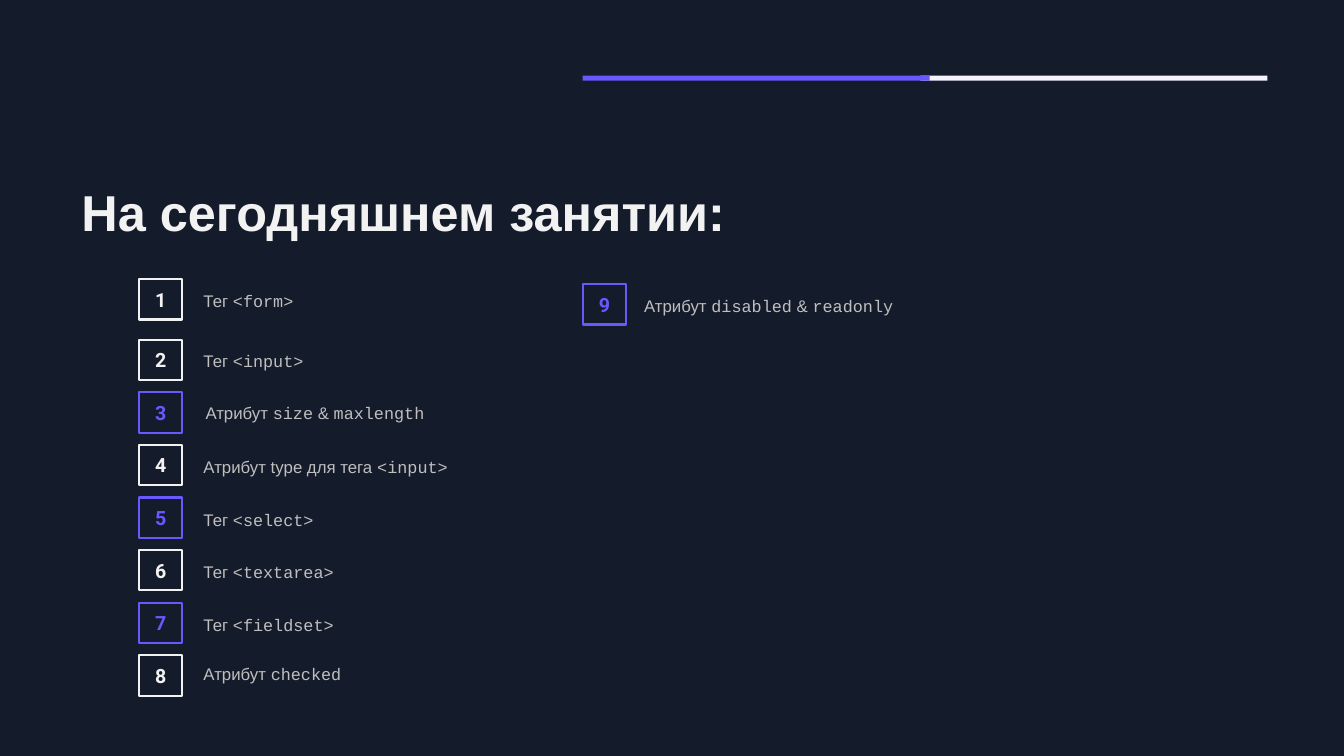
import pptx
import pptx.util
from pptx.dml.color import RGBColor
from pptx.enum.shapes import MSO_SHAPE
from pptx.enum.text import MSO_ANCHOR, PP_ALIGN
from pptx.util import Inches, Pt

NAVY = RGBColor(0x14, 0x1B, 0x2A)
VIOLET = RGBColor(0x67, 0x59, 0xFE)
PALE = RGBColor(0xF4, 0xF3, 0xFF)
WHITE = RGBColor(0xF2, 0xF2, 0xF2)
GREY = RGBColor(0xBF, 0xBF, 0xBF)

TITLE = "На сегодняшнем занятии:"
# Plain words and code take turns; then the label's drop below its box top
TOPICS = [
    (["Тег ", "<form>"], 0.07),
    (["Тег ", "<input>"], 0.06),
    (["Атрибут ", "size", " & ", "maxlength"], 0.05),
    (["Атрибут type для тега ", "<input>"], 0.07),
    (["Тег ", "<select>"], 0.07),
    (["Тег ", "<textarea>"], 0.07),
    (["Тег ", "<fieldset>"], 0.07),
    (["Атрибут ", "checked"], 0.03),
    (["Атрибут ", "disabled", " & ", "readonly"], 0.06),
]
ACCENTS = {3, 5, 7, 9}
BARS = [(9.13, PALE), (5.78, VIOLET)]

HEAD = dict(name="Arial", size=Pt(36), bold=True)
DIGIT = dict(name="Roboto", size=Pt(14), bold=True)
WORDS = dict(name="Arial", size=Pt(12))
CODE = dict(name="Courier New", size=Pt(12))


def add_run(para, text, style, color):
    run = para.add_run()
    run.text = text
    for key, value in style.items():
        setattr(run.font, key, value)
    run.font.color.rgb = color


def add_text(slide, *place):
    """Add a wrapping text box and return its first paragraph."""
    frame = slide.shapes.add_textbox(*map(Inches, place)).text_frame
    frame.word_wrap = True
    return frame.paragraphs[0]


def add_rect(slide, *place):
    rect = slide.shapes.add_shape(MSO_SHAPE.RECTANGLE, *map(Inches, place))
    rect.shadow.inherit = False
    return rect


def add_bar(slide, left, color):
    bar = add_rect(slide, left, 0.75, 3.44, 0.05)
    bar.fill.solid()
    bar.fill.fore_color.rgb = color
    bar.line.fill.background()


def add_box(slide, num, left, top):
    """Draw the outlined square that holds a topic's number."""
    color = VIOLET if num in ACCENTS else WHITE
    box = add_rect(slide, left, top, 0.43, 0.4)
    box.fill.background()
    box.line.color.rgb = color
    box.line.width = Pt(1.5)
    frame = box.text_frame
    frame.vertical_anchor = MSO_ANCHOR.MIDDLE
    for side in ("left", "right", "top", "bottom"):
        setattr(frame, "margin_" + side, Inches(0.1))
    para = frame.paragraphs[0]
    para.alignment = PP_ALIGN.CENTER
    add_run(para, str(num), DIGIT, color)


def spot(num):
    """Give the left and top of a topic's box."""
    if num == 1:
        return 1.38, 2.77
    if num == 9:
        return 5.78, 2.82
    return 1.38, 3.37 + (num - 2) * 0.522


def main():
    deck = pptx.Presentation()
    deck.slide_width, deck.slide_height = Inches(13.33), Inches(7.5)
    slide = deck.slides.add_slide(deck.slide_layouts[6])
    slide.background.fill.solid()
    slide.background.fill.fore_color.rgb = NAVY

    para = add_text(slide, 0.71, 1.82, 8.5, 0.66)
    para.line_spacing = 0.9
    add_run(para, TITLE, HEAD, WHITE)
    for left, color in BARS:
        add_bar(slide, left, color)

    for num, (parts, drop) in enumerate(TOPICS, 1):
        left, top = spot(num)
        add_box(slide, num, left, top)
        gap = {3: 0.56, 9: 0.51}.get(num, 0.54)
        para = add_text(slide, left + gap, top + drop, 3.77, 0.34)
        for pos, part in enumerate(parts):
            add_run(para, part, CODE if pos % 2 else WORDS, GREY)

    deck.save("out.pptx")


if __name__ == "__main__":
    main()
